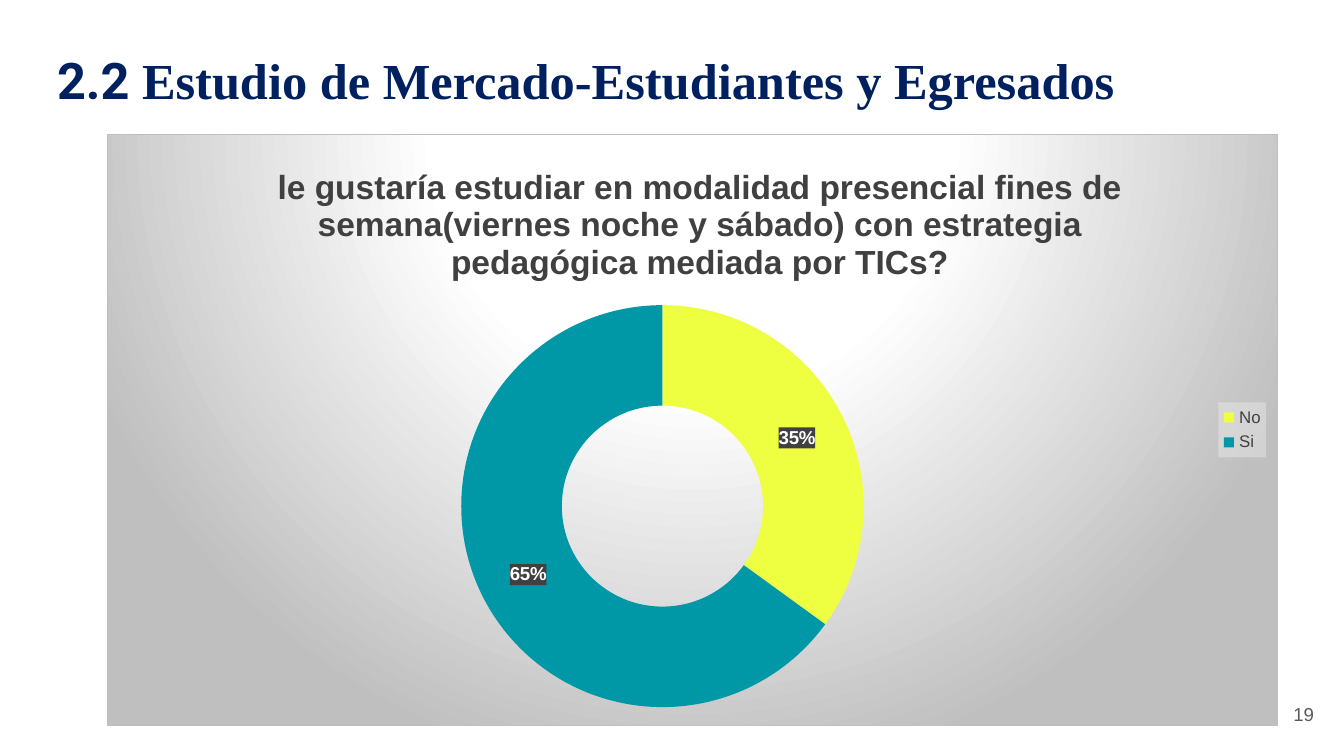
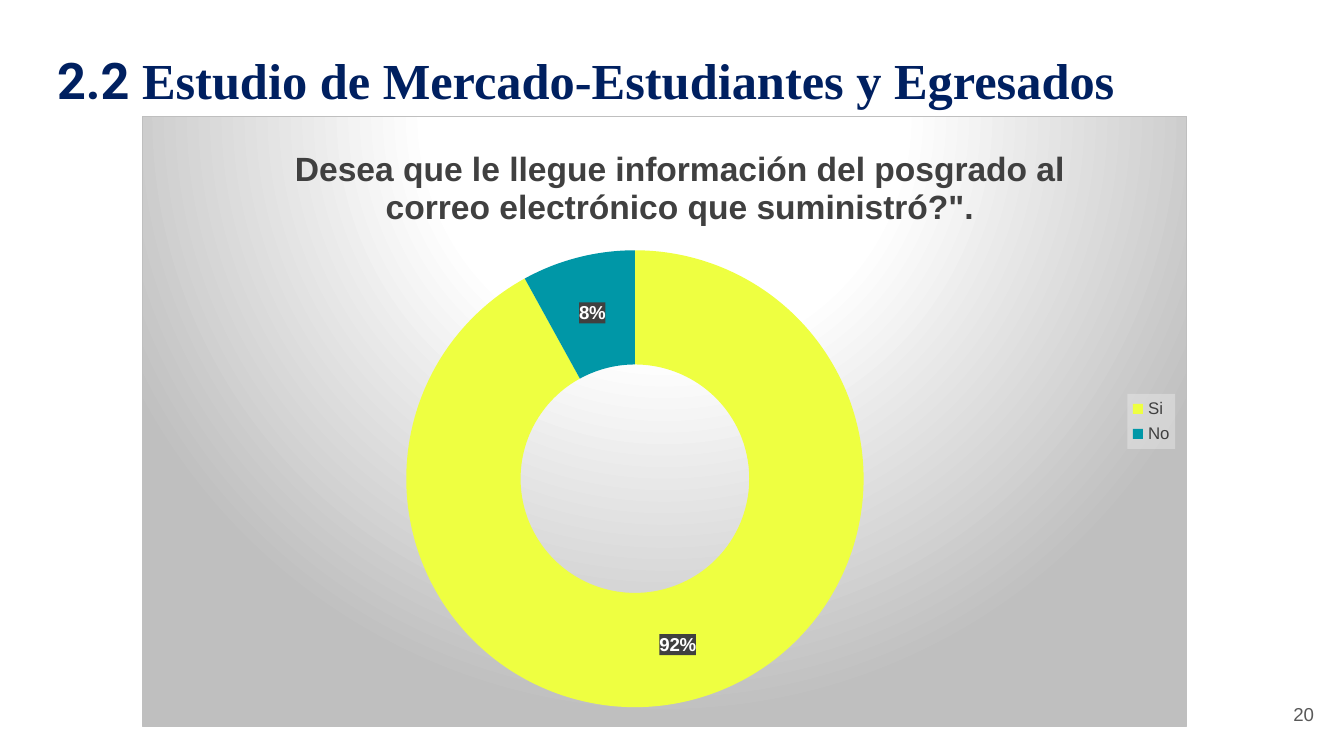
from dataclasses import dataclass
from typing import NamedTuple

from lxml.etree import _Element
from pptx import Presentation
from pptx.chart.chart import Chart
from pptx.chart.data import CategoryChartData
from pptx.dml.color import RGBColor
from pptx.enum.chart import XL_CHART_TYPE, XL_LEGEND_POSITION
from pptx.enum.text import MSO_ANCHOR, MSO_AUTO_SIZE, PP_ALIGN
from pptx.oxml import parse_xml
from pptx.oxml.ns import nsdecls, qn
from pptx.slide import Slide
from pptx.text.text import Font, TextFrame
from pptx.util import Emu, Pt

PX_PER_INCH = 134.4
NAVY = RGBColor(0x00, 0x20, 0x60)
BLACK = RGBColor(0x00, 0x00, 0x00)
WHITE = RGBColor(0xFF, 0xFF, 0xFF)
DARK = RGBColor(0x40, 0x40, 0x40)
GREY = RGBColor(0x59, 0x59, 0x59)
SILVER = RGBColor(0xBF, 0xBF, 0xBF)
PALE = RGBColor(0xF2, 0xF2, 0xF2)
YELLOW = RGBColor(0xEE, 0xFF, 0x41)
TEAL = RGBColor(0x00, 0x97, 0xA7)
SLICE_COLOURS = (YELLOW, TEAL)


class Box(NamedTuple):
    x: int
    y: int
    w: int
    h: int

    def emu(self) -> tuple[Emu, ...]:
        return tuple(px(v) for v in self)


@dataclass(frozen=True)
class Survey:
    number: int
    question: str
    answers: dict[str, int]
    frame: Box
    ring: Box


TITLE = Box(44, 42, 1177, 75)
PAGE_NUMBER = Box(1246, 685, 81, 58)
SURVEYS = (
    Survey(
        19,
        "le gustaría estudiar en modalidad presencial fines de semana(viernes noche "
        "y sábado) con estrategia pedagógica mediada por TICs?",
        {"No": 35, "Si": 65},
        Box(107, 134, 1171, 592),
        Box(461, 305, 403, 403),
    ),
    Survey(
        20,
        "Desea que le llegue información del posgrado al correo electrónico "
        'que suministró?".',
        {"Si": 92, "No": 8},
        Box(142, 116, 1045, 611),
        Box(406, 250, 458, 458),
    ),
)


def px(value: int) -> Emu:
    return Emu(round(value * 914400 / PX_PER_INCH))


def style(font: Font, name: str, size: int, colour: RGBColor, bold: bool = False) -> None:
    font.name, font.size, font.bold = name, Pt(size), bold
    font.color.rgb = colour


def set_insets(tf: TextFrame, side: int, end: int) -> None:
    tf.margin_left = tf.margin_right = px(side)
    tf.margin_top = tf.margin_bottom = px(end)


def add_title(s: Slide) -> None:
    sp = s.shapes.title
    sp.left, sp.top, sp.width, sp.height = TITLE.emu()
    tf = sp.text_frame
    tf.word_wrap = True
    tf.auto_size = MSO_AUTO_SIZE.SHAPE_TO_FIT_TEXT
    tf.vertical_anchor = MSO_ANCHOR.TOP
    set_insets(tf, 13, 7)
    p = tf.paragraphs[0]
    p.alignment = PP_ALIGN.LEFT
    for text, name in (
        ("2.2 ", "Roboto"),
        ("Estudio de Mercado-Estudiantes y Egresados", "Times New Roman"),
    ):
        r = p.add_run()
        r.text = text
        style(r.font, name, 27, NAVY, True)


def add_page_number(s: Slide, number: int) -> None:
    tf = s.shapes.add_textbox(*PAGE_NUMBER.emu()).text_frame
    tf.word_wrap = True
    tf.vertical_anchor = MSO_ANCHOR.MIDDLE
    set_insets(tf, 13, 13)
    p = tf.paragraphs[0]
    p.alignment = PP_ALIGN.RIGHT
    r = p.add_run()
    r.text = str(number)
    style(r.font, "Arial", 10, GREY)


def paint(parent: _Element, fill: str, line: str = "<a:ln><a:noFill/></a:ln>") -> None:
    sp_pr = parse_xml(f"<c:spPr {nsdecls('c', 'a')}>{fill}{line}</c:spPr>")
    parent.find(qn("c:txPr")).addprevious(sp_pr)


def solid(colour: RGBColor, alpha: int) -> str:
    return (
        f'<a:solidFill><a:srgbClr val="{colour}">'
        f'<a:alpha val="{alpha * 1000}"/></a:srgbClr></a:solidFill>'
    )


def backdrop() -> str:
    stops = "".join(
        f'<a:gs pos="{pos * 1000}"><a:srgbClr val="{colour}"/></a:gs>'
        for pos, colour in ((0, WHITE), (39, WHITE), (100, SILVER))
    )
    return (
        f'<a:gradFill><a:gsLst>{stops}</a:gsLst><a:path path="circle">'
        '<a:fillToRect l="50000" t="-80000" r="50000" b="180000"/>'
        "</a:path></a:gradFill>"
    )


def place(parent: _Element, index: int, target: str = "", **fractions: float) -> None:
    for old in parent.findall(qn("c:layout")):
        parent.remove(old)
    inner = f'<c:layoutTarget val="{target}"/>' if target else ""
    modes = "".join(f'<c:{k}Mode val="edge"/>' for k in fractions if k in "xy")
    values = "".join(f'<c:{k} val="{v:.4f}"/>' for k, v in fractions.items())
    parent.insert(index, parse_xml(
        f"<c:layout {nsdecls('c')}><c:manualLayout>{inner}{modes}{values}"
        "</c:manualLayout></c:layout>"
    ))


def add_question(chart: Chart, question: str) -> None:
    chart.has_title = True
    title = chart.chart_title
    title.include_in_layout = False
    p = title.text_frame.paragraphs[0]
    p.alignment = PP_ALIGN.CENTER
    r = p.add_run()
    r.text = question
    style(r.font, "Arial", 18, DARK, True)
    place(title._element, 1, x=0.14, y=0.04)


def add_legend(chart: Chart) -> None:
    chart.has_legend = True
    legend = chart.legend
    legend.position = XL_LEGEND_POSITION.RIGHT
    legend.include_in_layout = False
    style(legend.font, "Arial", 9, DARK)
    paint(legend._element, solid(PALE, 39))


def add_ring(s: Slide, survey: Survey) -> None:
    data = CategoryChartData()
    data.categories = list(survey.answers)
    data.add_series("Series 1", list(survey.answers.values()))
    frame, ring = survey.frame, survey.ring
    chart = s.shapes.add_chart(XL_CHART_TYPE.DOUGHNUT, *frame.emu(), data).chart
    style(chart.font, "Arial", 10, BLACK)
    border = (
        f'<a:ln w="{Pt(0.75)}"><a:solidFill><a:srgbClr val="{SILVER}"/>'
        "</a:solidFill></a:ln>"
    )
    paint(chart._chartSpace, backdrop(), border)
    add_question(chart, survey.question)
    add_legend(chart)

    plot = chart.plots[0]
    plot.vary_by_categories = True
    for i, colour in enumerate(SLICE_COLOURS):
        point = plot.series[0].points[i].format
        point.fill.solid()
        point.fill.fore_color.rgb = colour
        point.line.fill.background()
    plot.has_data_labels = True
    labels = plot.data_labels
    labels.show_percentage = True
    labels.show_value = False
    labels.number_format = "0%"
    labels.number_format_is_linked = False
    style(labels.font, "Arial", 10, WHITE, True)
    paint(labels._element, solid(DARK, 75))
    place(
        chart._chartSpace.chart.plotArea, 0, "inner",
        x=(ring.x - frame.x) / frame.w, y=(ring.y - frame.y) / frame.h,
        w=ring.w / frame.w, h=ring.h / frame.h,
    )


def main() -> None:
    prs = Presentation()
    prs.slide_width, prs.slide_height = px(1344), px(756)
    for survey in SURVEYS:
        s = prs.slides.add_slide(prs.slide_layouts[5])
        add_title(s)
        add_ring(s, survey)
        add_page_number(s, survey.number)
    prs.save("out.pptx")


if __name__ == "__main__":
    main()
